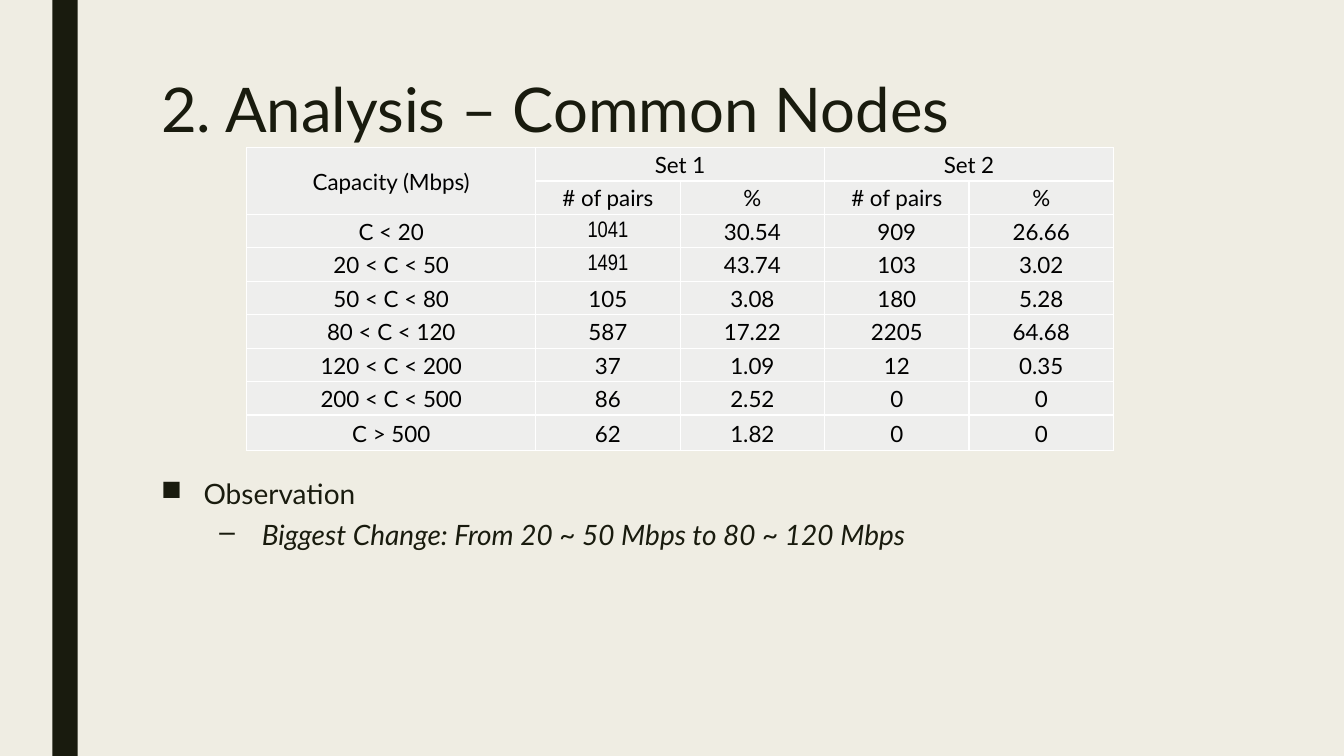
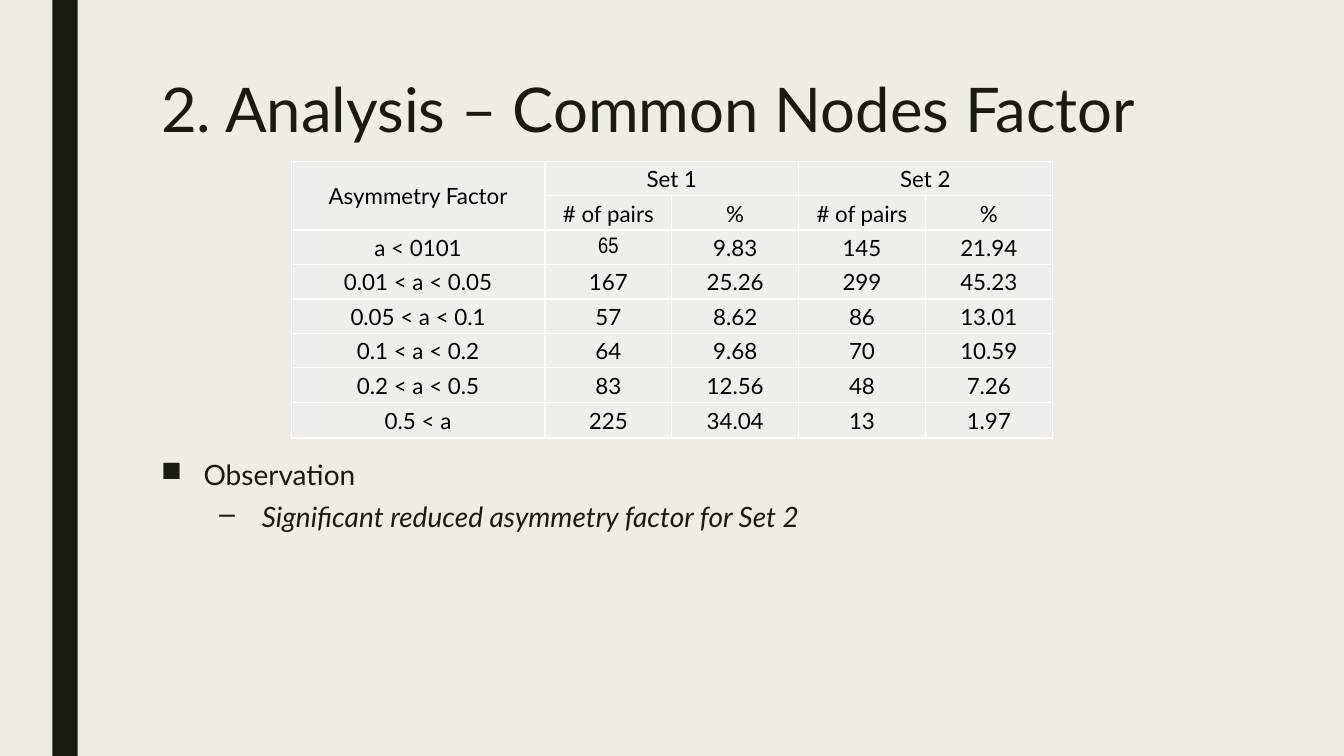
from dataclasses import dataclass

from lxml import etree
from pptx import Presentation
from pptx.dml.color import RGBColor
from pptx.enum.shapes import MSO_SHAPE
from pptx.enum.text import MSO_ANCHOR, PP_ALIGN
from pptx.oxml.ns import qn
from pptx.util import Cm, Pt

RECTANGLE = MSO_SHAPE.RECTANGLE
MIDDLE = MSO_ANCHOR.MIDDLE
CENTER = PP_ALIGN.CENTER
BLANK_LAYOUT = 6


@dataclass(frozen=True)
class Theme:
    paper: str = "EFEDE3"
    ink: str = "191B0E"
    cell_fill: str = "EEEEED"
    cell_text: str = "000000"
    border: str = "FFFFFF"
    border_width: int = Pt(1)
    font: str = "Lato"
    narrow_font: str = "Arial Narrow"
    title_size: int = Pt(44)
    body_size: int = Pt(20)
    table_size: int = Pt(16)


@dataclass(frozen=True)
class Box:
    left: int
    top: int
    width: int
    height: int


THEME = Theme()
SLIDE = Box(0, 0, Cm(33.87), Cm(19.05))
BAND = Box(Cm(1.32), 0, Cm(0.64), SLIDE.height)
TITLE = Box(Cm(3.81), Cm(1.9), Cm(26.67), Cm(2.16))
LAST_ROW_HEIGHT = Cm(0.9)
COLUMN_UNITS = (2, 1, 1, 1, 1)

CAPACITY_ROWS = (
    ("C < 20", "1041", "30.54", "909", "26.66"),
    ("20 < C < 50", "1491", "43.74", "103", "3.02"),
    ("50 < C < 80", "105", "3.08", "180", "5.28"),
    ("80 < C < 120", "587", "17.22", "2205", "64.68"),
    ("120 < C < 200", "37", "1.09", "12", "0.35"),
    ("200 < C < 500", "86", "2.52", "0", "0"),
    ("C > 500", "62", "1.82", "0", "0"),
)
ASYMMETRY_ROWS = (
    ("a < 0101", "65", "9.83", "145", "21.94"),
    ("0.01 < a < 0.05", "167", "25.26", "299", "45.23"),
    ("0.05 < a < 0.1", "57", "8.62", "86", "13.01"),
    ("0.1 < a < 0.2", "64", "9.68", "70", "10.59"),
    ("0.2 < a < 0.5", "83", "12.56", "48", "7.26"),
    ("0.5 < a", "225", "34.04", "13", "1.97"),
)


def add_span(para, text, size, color, font=THEME.font, italic=False):
    span = para.add_run()
    span.text = text
    span.font.size = size
    span.font.name = font
    span.font.italic = italic
    span.font.color.rgb = RGBColor.from_string(color)


def add_text_frame(page, box):
    frame = page.shapes.add_textbox(box.left, box.top, box.width, box.height).text_frame
    frame.word_wrap = True
    return frame


def add_band(page, box):
    band = page.shapes.add_shape(RECTANGLE, box.left, box.top, box.width, box.height)
    band.shadow.inherit = False
    band.fill.solid()
    band.fill.fore_color.rgb = RGBColor.from_string(THEME.ink)
    band.line.fill.background()


def add_title(page, box, text):
    para = add_text_frame(page, box).paragraphs[0]
    para.line_spacing = 0.89
    add_span(para, text, THEME.title_size, THEME.ink)


def add_bullet(para, mark, text, indent, space_before, level=0):
    para.level = level
    para.line_spacing = 0.94
    para.space_before = space_before
    para.space_after = Pt(2)
    properties = para._p.get_or_add_pPr()
    properties.set("marL", str(indent))
    properties.set("indent", str(-Cm(1.07)))
    etree.SubElement(properties, qn("a:buChar")).set("char", mark)
    add_span(para, text, THEME.body_size, THEME.ink, italic=level > 0)


def add_observation(page, box, finding):
    frame = add_text_frame(page, box)
    add_bullet(frame.paragraphs[0], "■", "Observation", Cm(1.07), Pt(10))
    add_bullet(frame.add_paragraph(), "–", finding, Cm(2.54), Pt(5), level=1)


def add_borders(cell):
    properties = cell._tc.get_or_add_tcPr()
    for side in ("lnL", "lnR", "lnT", "lnB"):
        line = etree.SubElement(properties, qn(f"a:{side}"), w=str(THEME.border_width))
        fill = etree.SubElement(line, qn("a:solidFill"))
        etree.SubElement(fill, qn("a:srgbClr"), val=THEME.border)


def style_cell(cell):
    add_borders(cell)
    cell.fill.solid()
    cell.fill.fore_color.rgb = RGBColor.from_string(THEME.cell_fill)
    cell.vertical_anchor = MIDDLE
    cell.margin_left = cell.margin_right = cell.margin_top = Cm(0.03)
    cell.margin_bottom = 0


def add_set_table(page, box, heading, data, narrow):
    rows = (
        (heading, "Set 1", "", "Set 2", ""),
        ("", "# of pairs", "%", "# of pairs", "%"),
        *data,
    )
    table = page.shapes.add_table(
        len(rows), len(COLUMN_UNITS), box.left, box.top, box.width, box.height
    ).table
    for column, units in zip(table.columns, COLUMN_UNITS):
        column.width = box.width * units // sum(COLUMN_UNITS)
    for row in table.rows:
        row.height = (box.height - LAST_ROW_HEIGHT) // (len(rows) - 1)
    table.rows[len(rows) - 1].height = LAST_ROW_HEIGHT

    for row_index, values in enumerate(rows):
        for column_index, text in enumerate(values):
            cell = table.cell(row_index, column_index)
            style_cell(cell)
            if text:
                para = cell.text_frame.paragraphs[0]
                para.alignment = CENTER
                font = THEME.narrow_font if text in narrow else THEME.font
                add_span(para, text, THEME.table_size, THEME.cell_text, font)

    table.cell(0, 0).merge(table.cell(1, 0))
    for first in (1, 3):
        table.cell(0, first).merge(table.cell(0, first + 1))


def add_analysis_page(deck, title, table_box, heading, data, narrow, note_top, finding):
    page = deck.slides.add_slide(deck.slide_layouts[BLANK_LAYOUT])
    page.background.fill.solid()
    page.background.fill.fore_color.rgb = RGBColor.from_string(THEME.paper)
    add_band(page, BAND)
    add_title(page, TITLE, title)
    add_observation(page, Box(TITLE.left, note_top, TITLE.width, Cm(2.46)), finding)
    add_set_table(page, table_box, heading, data, narrow)


def main():
    deck = Presentation()
    deck.slide_width, deck.slide_height = SLIDE.width, SLIDE.height
    add_analysis_page(
        deck,
        "2. Analysis – Common Nodes",
        Box(Cm(6.22), Cm(3.72), Cm(21.84), Cm(7.64)),
        "Capacity (Mbps)",
        CAPACITY_ROWS,
        {"1041", "1491"},
        Cm(11.94),
        "Biggest Change: From 20 ~ 50 Mbps to 80 ~ 120 Mbps",
    )
    add_analysis_page(
        deck,
        "2. Analysis – Common Nodes Factor",
        Box(Cm(7.34), Cm(4.06), Cm(19.18), Cm(6.98)),
        "Asymmetry Factor",
        ASYMMETRY_ROWS,
        {"65"},
        Cm(11.48),
        "Significant reduced asymmetry factor for Set 2",
    )
    deck.save("out.pptx")


if __name__ == "__main__":
    main()
